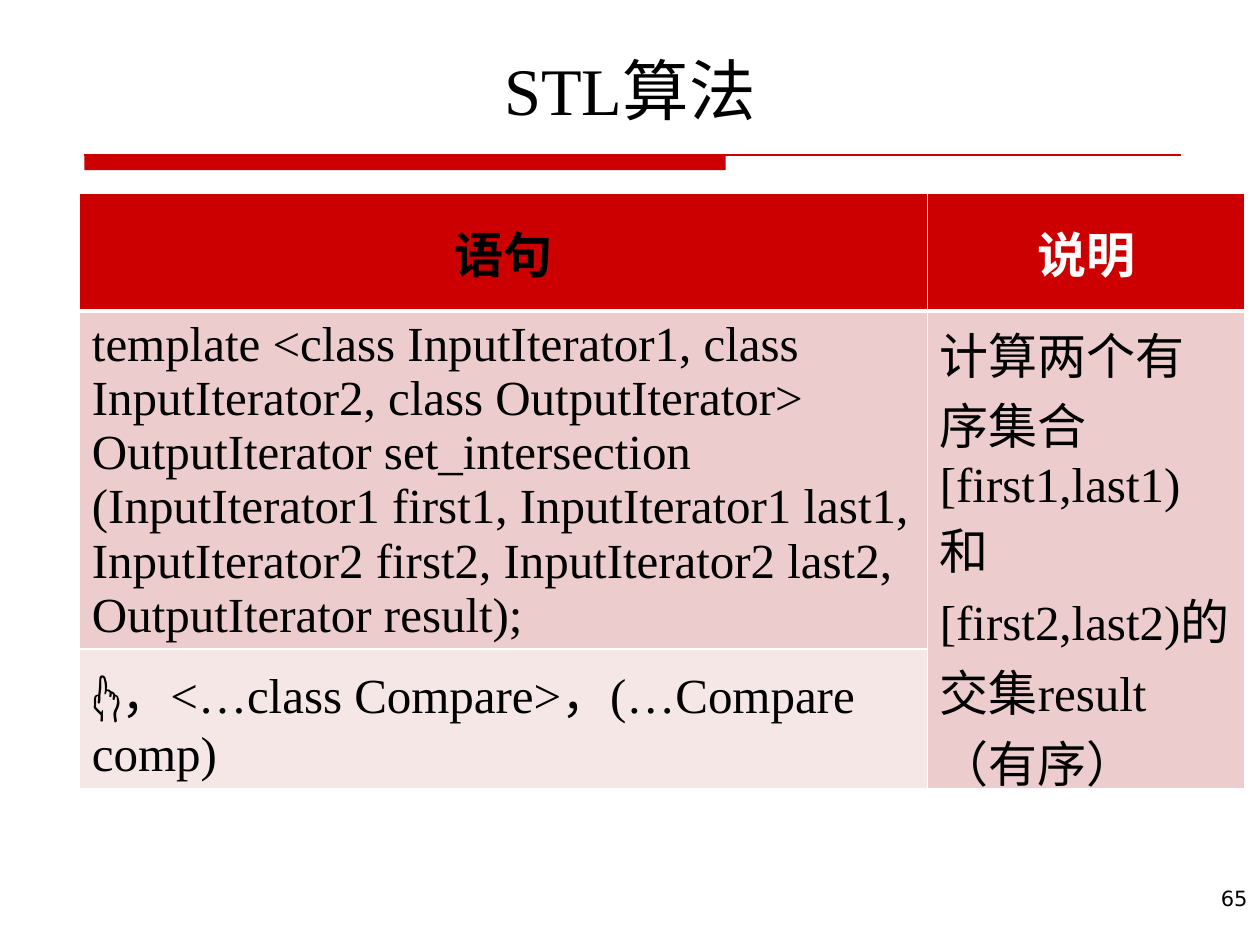
from lxml import etree
from pptx import Presentation
from pptx.dml.color import RGBColor
from pptx.enum.shapes import MSO_CONNECTOR, MSO_SHAPE
from pptx.enum.text import MSO_ANCHOR, MSO_AUTO_SIZE, PP_ALIGN
from pptx.oxml.ns import qn
from pptx.util import Inches, Pt

LEFT, CENTER, RIGHT = PP_ALIGN.LEFT, PP_ALIGN.CENTER, PP_ALIGN.RIGHT
BOTTOM, MIDDLE = MSO_ANCHOR.BOTTOM, MSO_ANCHOR.MIDDLE

THEME = {
    "red": "CC0000", "band": "ECCCCC", "pale": "F6E7E7",
    "black": "000000", "white": "FFFFFF",
    "font": "Times New Roman", "number_font": "DejaVu Sans",
    "title": 38, "table": 28, "number": 12,
}


def write(tf, text, size, color="black", align=LEFT, bold=False, font="font"):
    p = tf.paragraphs[0]
    p.text = text
    p.alignment = align
    p.font.name = THEME[font]
    p.font.size = Pt(THEME[size])
    p.font.bold = bold
    p.font.color.rgb = RGBColor.from_string(THEME[color])


def style_cell(cell, fill, bottom):
    cell.vertical_anchor = MIDDLE
    cell.fill.solid()
    cell.fill.fore_color.rgb = RGBColor.from_string(THEME[fill])
    widths = {"a:lnL": 1, "a:lnR": 1, "a:lnT": 1, "a:lnB": bottom}
    for i, (tag, width) in enumerate(widths.items()):
        ln = etree.Element(qn(tag), w=str(Pt(width)))
        solid = etree.SubElement(ln, qn("a:solidFill"))
        etree.SubElement(solid, qn("a:srgbClr"), val=THEME["white"])
        cell._tc.get_or_add_tcPr().insert(i, ln)


prs = Presentation()
prs.slide_width, prs.slide_height = Inches(10), Inches(7.5)
s = prs.slides.add_slide(prs.slide_layouts[5])
red = RGBColor.from_string(THEME["red"])
margin = Inches(0.63)

# Title
title = s.shapes.title
title.left, title.top = margin, Inches(0.33)
title.width, title.height = prs.slide_width - 2 * margin, Inches(0.74)
tf = title.text_frame
tf.auto_size = MSO_AUTO_SIZE.NONE
tf.vertical_anchor = BOTTOM
write(tf, "STL算法", "title", align=CENTER)

# Rule under the title: a thick bar that runs on as a thin line
rule_left, rule_top = Inches(0.67), Inches(1.23)
bar = s.shapes.add_shape(MSO_SHAPE.RECTANGLE, rule_left, rule_top,
                         Inches(5.09), Inches(0.12))
bar.shadow.inherit = False
bar.fill.solid()
bar.fill.fore_color.rgb = red
bar.line.fill.background()
rule = s.shapes.add_connector(MSO_CONNECTOR.STRAIGHT, rule_left, rule_top,
                              Inches(9.37), rule_top)
rule.line.color.rgb = red
rule.line.width = Pt(0.75)
etree.SubElement(rule._element.spPr, qn("a:effectLst"))

# Table: statement and explanation
columns = [6.73, 2.52]
rows = [0.94, 2.67, 1.11]
table = s.shapes.add_table(len(rows), len(columns), margin, Inches(1.53),
                           Inches(sum(columns)), Inches(sum(rows))).table
for column, width in zip(table.columns, columns):
    column.width = Inches(width)
for row, height in zip(table.rows, rows):
    row.height = Inches(height)
for r, (fill, bottom) in enumerate([("red", 3), ("band", 1), ("pale", 1)]):
    for cell in table.rows[r].cells:
        style_cell(cell, fill, bottom)
table.cell(1, 1).merge(table.cell(2, 1))

headers = [("语句", "black"), ("说明", "white")]
for c, (text, color) in enumerate(headers):
    write(table.cell(0, c).text_frame, text, "table", color, CENTER, bold=True)

body = {
    (1, 0): "template <class InputIterator1, class InputIterator2, "
            "class OutputIterator> OutputIterator set_intersection "
            "(InputIterator1 first1, InputIterator1 last1, "
            "InputIterator2 first2, InputIterator2 last2, "
            "OutputIterator result);",
    (1, 1): "计算两个有序集合 [first1,last1) 和 [first2,last2)的交集result（有序）",
    (2, 0): "👆，<…class Compare>，(…Compare comp)",
}
for (r, c), text in body.items():
    write(table.cell(r, c).text_frame, text, "table")

# Page number in the bottom right corner
width, height = Inches(2.14), Inches(0.52)
number = s.shapes.add_textbox(prs.slide_width - width, prs.slide_height - height,
                              width, height)
number.text_frame.word_wrap = True
write(number.text_frame, "65", "number", align=RIGHT, font="number_font")

prs.save("out.pptx")
